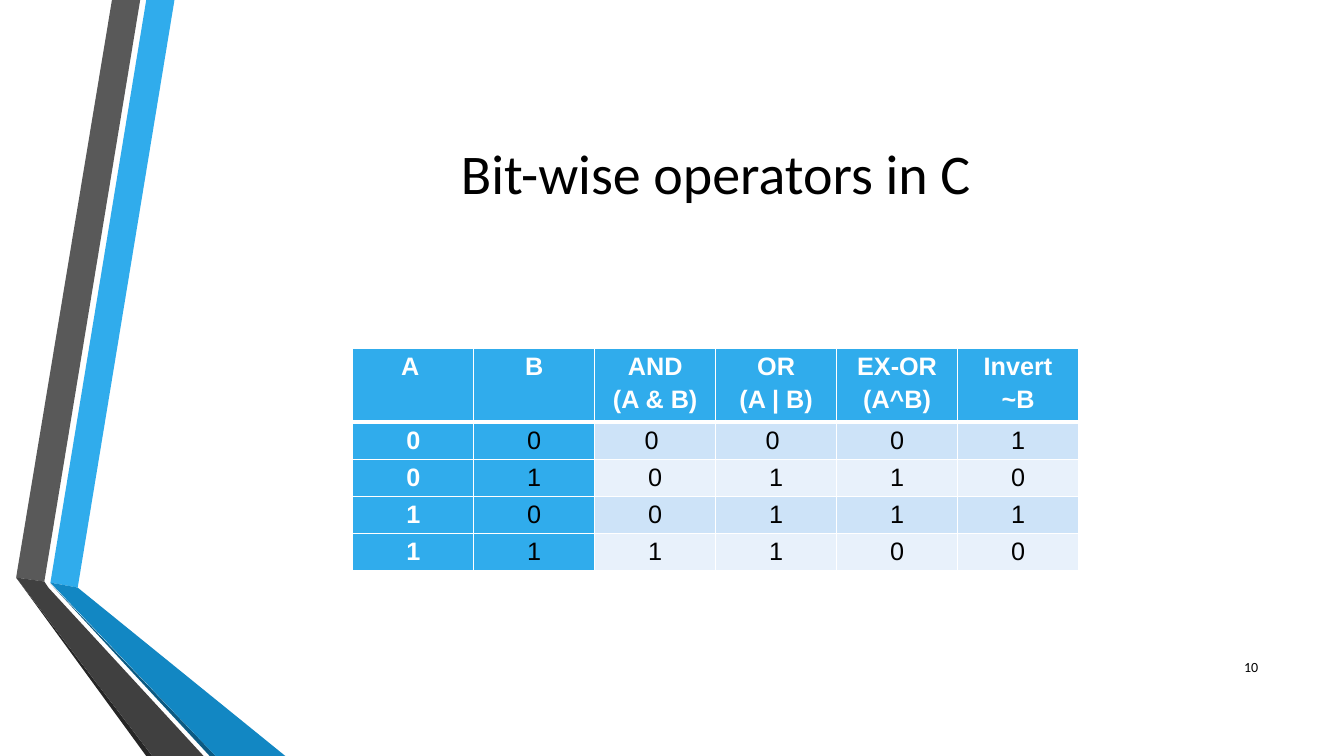
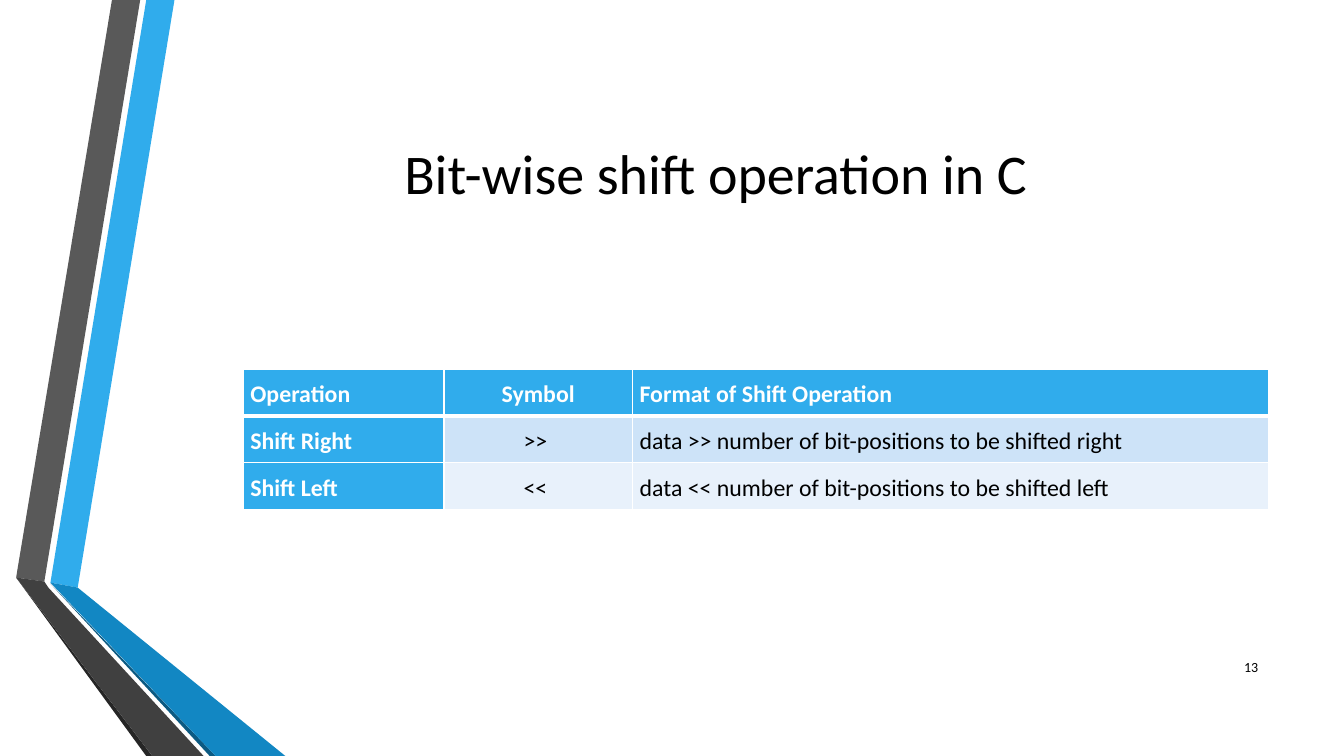
"""Build two slides on bit-wise operators and shifts in C."""
import dataclasses

import lxml.etree
import pptx
import pptx.dml.color
import pptx.enum.text
import pptx.oxml.ns
import pptx.slide
import pptx.table
import pptx.text.text
import pptx.util

RGB = pptx.dml.color.RGBColor
ALIGN = pptx.enum.text.PP_ALIGN
ANCHOR = pptx.enum.text.MSO_ANCHOR
qn = pptx.oxml.ns.qn

BLACK = RGB(0x00, 0x00, 0x00)
WHITE = RGB(0xFF, 0xFF, 0xFF)
BLUE = RGB(0x30, 0xAC, 0xEC)
MID_BLUE = RGB(0x12, 0x87, 0xC3)
DEEP_BLUE = RGB(0x0C, 0x5A, 0x82)
GREY = RGB(0x59, 0x59, 0x59)
DARK_GREY = RGB(0x40, 0x40, 0x40)
DEEP_GREY = RGB(0x26, 0x26, 0x26)
ROW_TINTS = (RGB(0xCD, 0xE3, 0xF8), RGB(0xE8, 0xF1, 0xFB))

SLIDE_W = pptx.util.Inches(13.33)
SLIDE_H = pptx.util.Inches(7.5)


def x(percent: float) -> int:
    return round(SLIDE_W * percent / 100)


def y(percent: float) -> int:
    return round(SLIDE_H * percent / 100)


@dataclasses.dataclass(frozen=True)
class Style:
    font: str
    size: float
    color: RGB = BLACK
    bold: bool = False


@dataclasses.dataclass(frozen=True)
class Box:
    left: float
    top: float
    width: float
    height: float


@dataclasses.dataclass(frozen=True)
class Band:
    color: RGB
    points: tuple[tuple[float, float], ...]


@dataclasses.dataclass(frozen=True)
class Grid:
    left: float
    top: float
    cols: tuple[float, ...]
    rows: tuple[float, ...]
    cells: tuple[tuple[str, ...], ...]
    aligns: tuple[ALIGN, ...]
    anchor: ANCHOR
    font: str
    size: float
    blue_cols: int = 1


@dataclasses.dataclass(frozen=True)
class Page:
    title: str
    number: str
    grid: Grid


TITLE_BOX = Box(12.15, 10, 82.2, 25.6)
NUMBER_BOX = Box(89.85, 85.6, 4.5, 5.33)
TITLE_STYLE = Style("Calibri", 40)
NUMBER_STYLE = Style("Calibri", 10)

BANDS = (
    Band(BLUE, ((3.75, 77.07), (5.78, 77.73), (12.98, 0), (10.88, 0))),
    Band(GREY, ((10.43, 0), (8.33, 0), (1.2, 76.4), (3.3, 76.93))),
    Band(DEEP_GREY, ((1.2, 76.4), (10.88, 100), (11.33, 100))),
    Band(DEEP_BLUE, ((3.75, 77.2), (15.6, 100), (16.05, 100))),
    Band(MID_BLUE, ((3.75, 77.07), (16.05, 100), (21.23, 100), (5.78, 77.73))),
    Band(DARK_GREY, ((15.15, 100), (3.6, 77.73), (3.3, 76.93), (1.2, 76.4), (11.33, 100))),
)

PAGES = (
    Page("Bit-wise operators in C", "10", Grid(
        left=26.25, top=46.13, cols=(9,) * 6, rows=(9.73,) + (4.9,) * 4,
        cells=(
            ("A ", "B", "AND\n(A & B)", "OR\n(A | B)", "EX-OR\n(A^B)", "Invert\n~B"),
            ("0", "0", "0 ", "0 ", "0", "1"),
            ("0", "1", "0", "1", "1", "0"),
            ("1", "0", "0", "1", "1", "1"),
            ("1", "1", "1", "1", "0", "0"),
        ),
        aligns=(ALIGN.CENTER,) * 6, anchor=ANCHOR.TOP,
        font="Arial", size=18, blue_cols=2)),
    Page("Bit-wise shift operation in C", "13", Grid(
        left=18.1, top=48.8, cols=(14.93, 14.03, 47.33), rows=(6.22,) * 3,
        cells=(
            ("Operation", "Symbol", "Format of Shift Operation"),
            ("Shift Right", ">>\u00a0", "data >> number of bit-positions to be shifted right"),
            ("Shift Left", "<<\u00a0", "data << number of bit-positions to be shifted left"),
        ),
        aligns=(ALIGN.LEFT, ALIGN.CENTER, ALIGN.LEFT), anchor=ANCHOR.MIDDLE,
        font="Calibri", size=17)),
)


def add_run(p: pptx.text.text._Paragraph, text: str, style: Style) -> None:
    r = p.add_run()
    r.text = text
    r.font.name = style.font
    r.font.size = pptx.util.Pt(style.size)
    r.font.bold = style.bold
    r.font.color.rgb = style.color


def add_text(s: pptx.slide.Slide, box: Box, text: str, style: Style, align: ALIGN) -> None:
    sp = s.shapes.add_textbox(x(box.left), y(box.top), x(box.width), y(box.height))
    tf = sp.text_frame
    tf.word_wrap = True
    tf.vertical_anchor = ANCHOR.MIDDLE
    p = tf.paragraphs[0]
    p.alignment = align
    add_run(p, text, style)


def add_band(s: pptx.slide.Slide, band: Band) -> None:
    points = [(x(px), y(py)) for px, py in band.points]
    builder = s.shapes.build_freeform(*points[0])
    builder.add_line_segments(points[1:], close=True)
    sp = builder.convert_to_shape()
    sp.shadow.inherit = False
    sp.fill.solid()
    sp.fill.fore_color.rgb = band.color
    sp.line.fill.background()


def add_borders(cell: pptx.table._Cell, row: int) -> None:
    widths = {"a:lnL": 1, "a:lnR": 1, "a:lnT": 3 if row == 1 else 1, "a:lnB": 3 if row == 0 else 1}
    tc_pr = cell._tc.get_or_add_tcPr()
    for tag, width in widths.items():
        ln = lxml.etree.SubElement(tc_pr, qn(tag), w=str(pptx.util.Pt(width)))
        fill = lxml.etree.SubElement(ln, qn("a:solidFill"))
        lxml.etree.SubElement(fill, qn("a:srgbClr"), val=str(WHITE))


def fill_cell(cell: pptx.table._Cell, grid: Grid, row: int, col: int) -> None:
    heading = row == 0 or col == 0
    style = Style(grid.font, grid.size, WHITE if heading else BLACK, heading)
    add_borders(cell, row)
    cell.fill.solid()
    blue = row == 0 or col < grid.blue_cols
    cell.fill.fore_color.rgb = BLUE if blue else ROW_TINTS[(row - 1) % 2]
    cell.margin_left = cell.margin_right = x(0.53)
    cell.margin_top = cell.margin_bottom = 0
    cell.vertical_anchor = grid.anchor
    tf = cell.text_frame
    for i, line in enumerate(grid.cells[row][col].split("\n")):
        p = tf.add_paragraph() if i else tf.paragraphs[0]
        p.alignment = grid.aligns[col]
        p.line_spacing = 1.15
        add_run(p, line, style)


def add_grid(s: pptx.slide.Slide, grid: Grid) -> None:
    table = s.shapes.add_table(
        len(grid.rows), len(grid.cols), x(grid.left), y(grid.top),
        x(sum(grid.cols)), y(sum(grid.rows))).table
    for column, width in zip(table.columns, grid.cols):
        column.width = x(width)
    for row, height in enumerate(grid.rows):
        table.rows[row].height = y(height)
        for col in range(len(grid.cols)):
            fill_cell(table.cell(row, col), grid, row, col)


def add_page(prs: pptx.presentation.Presentation, page: Page) -> None:
    s = prs.slides.add_slide(prs.slide_layouts[6])
    for band in BANDS:
        add_band(s, band)
    add_text(s, TITLE_BOX, page.title, TITLE_STYLE, ALIGN.CENTER)
    add_grid(s, page.grid)
    add_text(s, NUMBER_BOX, page.number, NUMBER_STYLE, ALIGN.RIGHT)


prs = pptx.Presentation()
prs.slide_width = SLIDE_W
prs.slide_height = SLIDE_H
for page in PAGES:
    add_page(prs, page)
prs.save("out.pptx")
